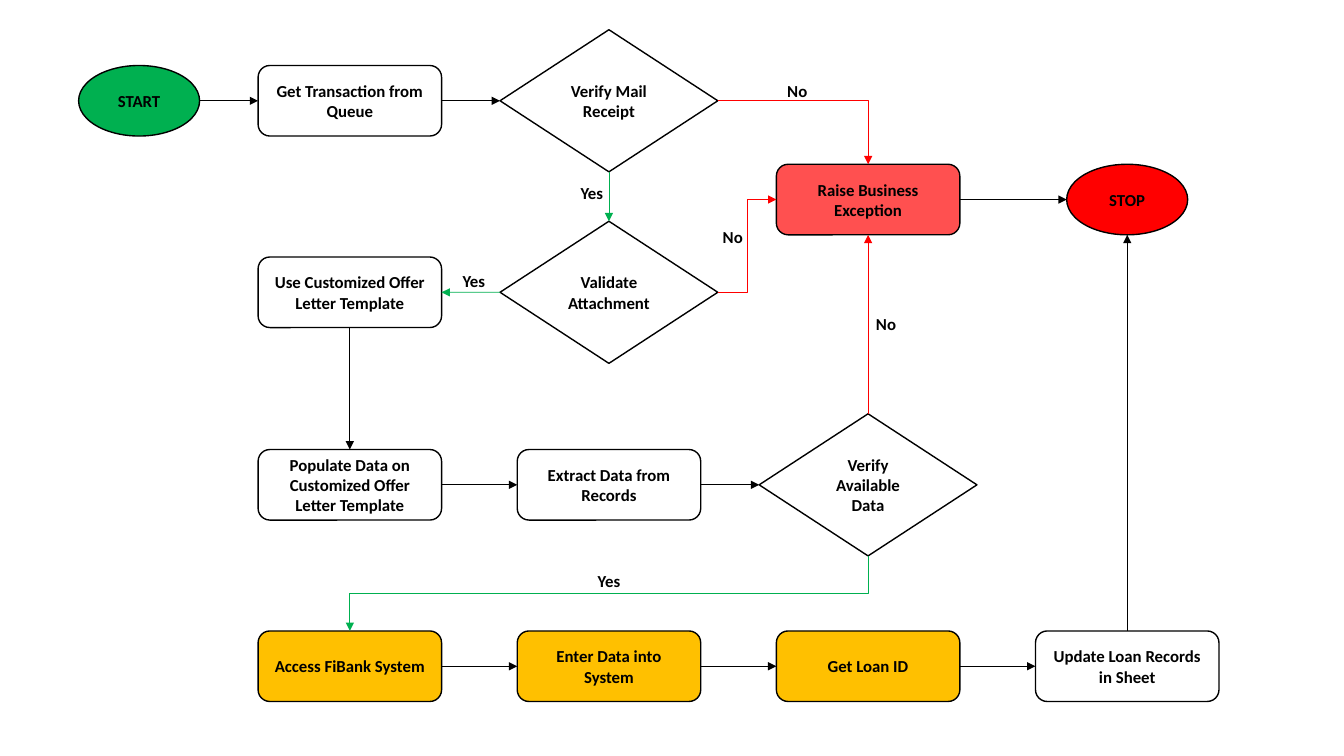
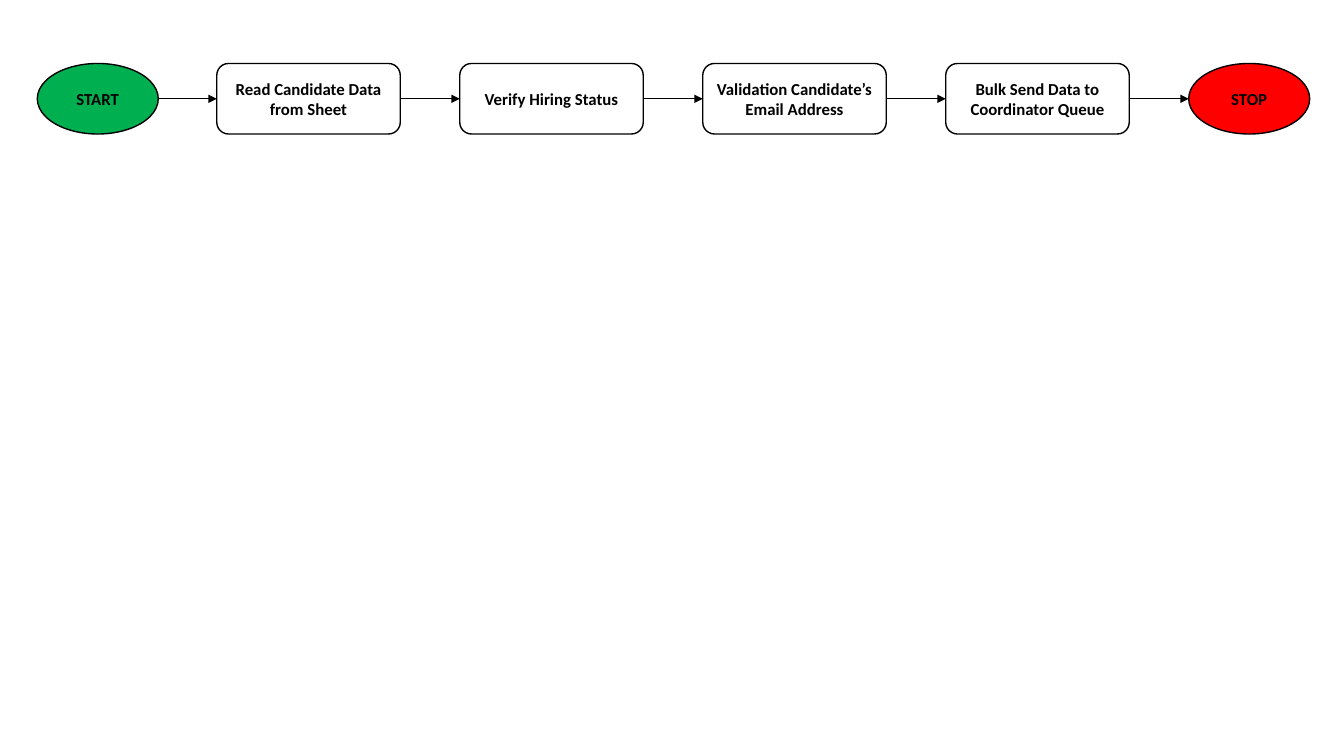
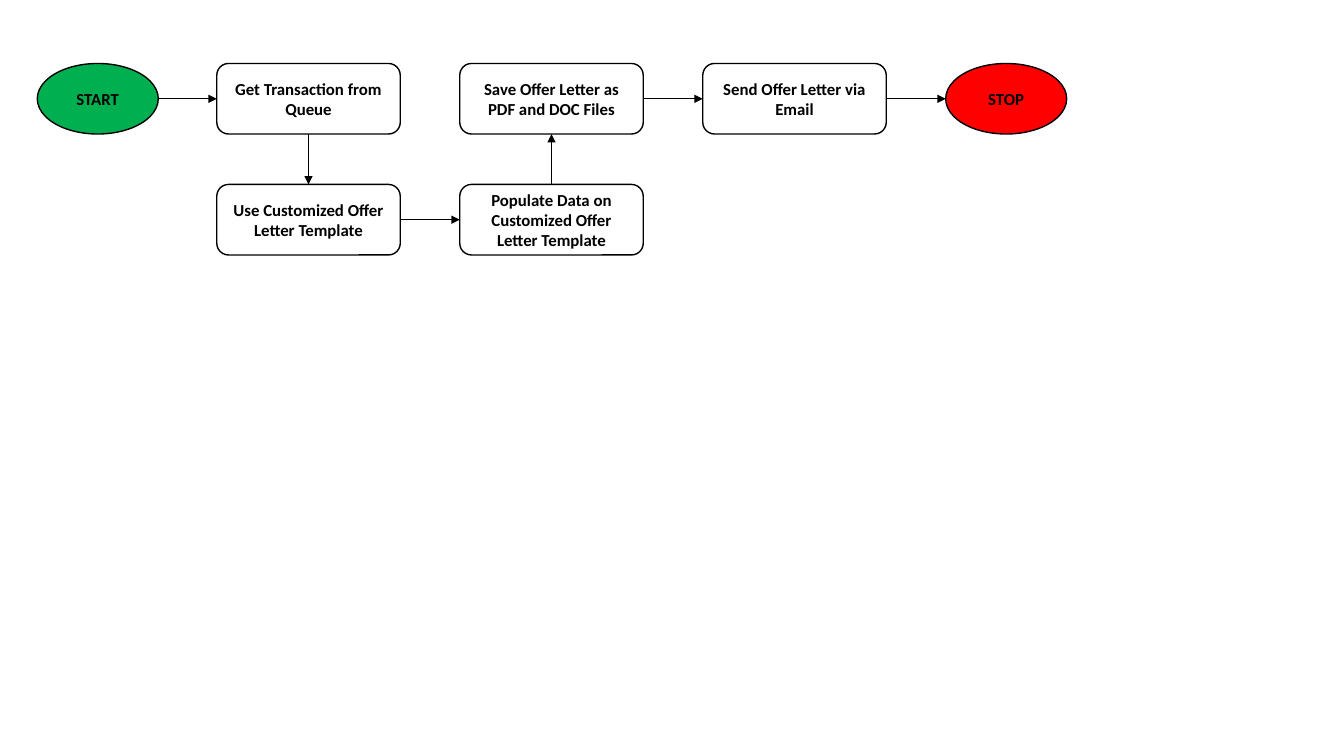
from lxml.etree import SubElement
from pptx import Presentation
from pptx.dml.color import RGBColor
from pptx.enum.shapes import MSO_CONNECTOR as Connector, MSO_SHAPE as Shape
from pptx.enum.text import MSO_ANCHOR as Anchor, MSO_AUTO_SIZE as AutoSize, PP_ALIGN as Align
from pptx.oxml.ns import qn
from pptx.util import Inches, Pt

# Shared style
BLACK = RGBColor(0x00, 0x00, 0x00)
WHITE = RGBColor(0xFF, 0xFF, 0xFF)
GREEN = RGBColor(0x00, 0xB0, 0x50)
RED = RGBColor(0xFF, 0x00, 0x00)
CORAL = RGBColor(0xFF, 0x50, 0x50)
AMBER = RGBColor(0xFF, 0xC0, 0x00)

SIZES = {
    Shape.OVAL: (1.2, 0.7),
    Shape.ROUNDED_RECTANGLE: (1.82, 0.7),
    Shape.DIAMOND: (2.16, 1.41),
}
LABEL_WIDTHS = {"Yes": 0.43, "No": 0.4}

# Connection sites, counted anticlockwise
TOP, LEFT, BOTTOM, RIGHT = range(4)


def style_text(paragraph):
    font = paragraph.font
    font.name, font.size, font.bold = "Calibri", Pt(12), True
    font.color.rgb = BLACK


def add_node(slide, kind, center, text, fill=WHITE):
    """Place a flowchart symbol around its center, given in inches."""
    width, height = SIZES[kind]
    x, y = center
    node = slide.shapes.add_shape(kind, Inches(x - width / 2), Inches(y - height / 2),
                                  Inches(width), Inches(height))
    node.shadow.inherit = False
    node.fill.solid()
    node.fill.fore_color.rgb = fill
    node.line.color.rgb = BLACK
    node.line.width = Pt(1)
    frame = node.text_frame
    frame.word_wrap = True
    frame.vertical_anchor = Anchor.MIDDLE
    paragraph = frame.paragraphs[0]
    paragraph.text = text
    paragraph.alignment = Align.CENTER
    style_text(paragraph)
    return node


def add_start(slide, center):
    return add_node(slide, Shape.OVAL, center, "START", GREEN)


def add_stop(slide, center):
    return add_node(slide, Shape.OVAL, center, "STOP", RED)


def add_step(slide, center, text, fill=WHITE):
    return add_node(slide, Shape.ROUNDED_RECTANGLE, center, text, fill)


def add_decision(slide, center, text):
    return add_node(slide, Shape.DIAMOND, center, text)


def add_label(slide, left, top, text):
    label = slide.shapes.add_textbox(Inches(left), Inches(top),
                                     Inches(LABEL_WIDTHS[text]), Inches(0.3))
    frame = label.text_frame
    frame.word_wrap = False
    frame.auto_size = AutoSize.SHAPE_TO_FIT_TEXT
    frame.paragraphs[0].text = text
    style_text(frame.paragraphs[0])


def site(node, side):
    """An oval has eight connection sites, the other symbols four."""
    return side * 2 if node.auto_shape_type == Shape.OVAL else side


def link(slide, source, target, exit_side=RIGHT, entry_side=LEFT, color=BLACK,
         kind=Connector.STRAIGHT):
    """Draw an arrow glued to one side of each node."""
    arrow = slide.shapes.add_connector(kind, 0, 0, 0, 0)
    arrow.begin_connect(source, exit_side)
    arrow.end_connect(target, entry_side)
    ends = arrow._element.nvCxnSpPr.cNvCxnSpPr
    ends.stCxn.idx = site(source, exit_side)
    ends.endCxn.idx = site(target, entry_side)
    arrow.line.color.rgb = color
    arrow.line.width = Pt(0.5)
    SubElement(arrow.line._get_or_add_ln(), qn("a:tailEnd"), type="triangle")
    SubElement(arrow._element.spPr, qn("a:effectLst"))
    return arrow


def link_corner(slide, source, target, color):
    """Elbow with a single bend, from the right side down to the top."""
    arrow = link(slide, source, target, RIGHT, TOP, color, Connector.ELBOW)
    arrow._element.spPr.find(qn("a:prstGeom")).set("prst", "bentConnector2")


def link_down_left(slide, source, target, color):
    """Elbow that goes down, left and down: a quarter turn of the usual one."""
    arrow = link(slide, source, target, BOTTOM, TOP, color, Connector.ELBOW)
    left, top, width, height = arrow.left, arrow.top, arrow.width, arrow.height
    frame = arrow._element.spPr.find(qn("a:xfrm"))
    frame.attrib.pop("flipH", None)
    frame.set("rot", "5400000")
    arrow.left, arrow.top = left + (width - height) // 2, top + (height - width) // 2
    arrow.width, arrow.height = height, width


def link_row(slide, nodes):
    for source, target in zip(nodes, nodes[1:]):
        link(slide, source, target)


def build_loan_flow(slide):
    col = [3.47 + 2.57 * i for i in range(4)]
    row_mail, row_attach, row_data, row_system = 1, 2.9, 4.81, 6.61
    row_end = 1.98

    # Nodes
    start = add_start(slide, (1.38, row_mail))
    queue = add_step(slide, (col[0], row_mail), "Get Transaction from Queue")
    mail = add_decision(slide, (col[1], row_mail), "Verify Mail Receipt")
    attachment = add_decision(slide, (col[1], row_attach), "Validate Attachment")
    template = add_step(slide, (col[0], row_attach), "Use Customized Offer Letter Template")
    exception = add_step(slide, (col[2], row_end), "Raise Business Exception", CORAL)
    populate = add_step(slide, (col[0], row_data),
                        "Populate Data on Customized Offer Letter Template")
    extract = add_step(slide, (col[1], row_data), "Extract Data from Records")
    available = add_decision(slide, (col[2], row_data), "Verify Available Data")
    system_steps = [add_step(slide, (x, row_system), text, fill) for x, text, fill in zip(
        col,
        ("Access FiBank System", "Enter Data into System", "Get Loan ID",
         "Update Loan Records in Sheet"),
        (AMBER, AMBER, AMBER, WHITE))]
    stop = add_stop(slide, (col[3], row_end))

    # Main path
    link_row(slide, [start, queue, mail])
    link_row(slide, [populate, extract, available])
    link_row(slide, system_steps)
    link_row(slide, [exception, stop])
    link(slide, template, populate, BOTTOM, TOP)
    link(slide, system_steps[-1], stop, TOP, BOTTOM)

    # Yes branches
    link(slide, mail, attachment, BOTTOM, TOP, GREEN)
    link(slide, attachment, template, LEFT, RIGHT, GREEN)
    link_down_left(slide, available, system_steps[0], GREEN)

    # No branches
    link_corner(slide, mail, exception, RED)
    link(slide, attachment, exception, color=RED, kind=Connector.ELBOW)
    link(slide, available, exception, TOP, BOTTOM, RED)

    # Branch labels
    for left, top, text in ((7.71, 0.75, "No"), (8.59, 3.06, "No"), (7.07, 2.2, "No"),
                            (5.66, 1.76, "Yes"), (4.49, 2.64, "Yes"), (5.83, 5.61, "Yes")):
        add_label(slide, left, top, text)


# Grid of the two short flows
ROW_TOP, ROW_BELOW = 0.98, 2.18
START_X = 0.97


def step_x(index):
    return 3.06 + 2.41 * index


def stop_x(index):
    """The oval is narrower than a step but keeps its left edge."""
    return step_x(index) - (1.82 - 1.2) / 2


def build_candidate_flow(slide):
    texts = ("Read Candidate Data from Sheet",
             "Verify Hiring Status",
             "Validation Candidate’s Email Address",
             "Bulk Send Data to Coordinator Queue")
    steps = [add_step(slide, (step_x(i), ROW_TOP), text) for i, text in enumerate(texts)]
    start = add_start(slide, (START_X, ROW_TOP))
    stop = add_stop(slide, (stop_x(len(steps)), ROW_TOP))
    link_row(slide, [start, *steps, stop])


def build_letter_flow(slide):
    start = add_start(slide, (START_X, ROW_TOP))
    queue = add_step(slide, (step_x(0), ROW_TOP), "Get Transaction from Queue")
    template = add_step(slide, (step_x(0), ROW_BELOW), "Use Customized Offer Letter Template")
    populate = add_step(slide, (step_x(1), ROW_BELOW),
                        "Populate Data on Customized Offer Letter Template")
    save = add_step(slide, (step_x(1), ROW_TOP), "Save Offer Letter as PDF and DOC Files")
    send = add_step(slide, (step_x(2), ROW_TOP), "Send Offer Letter via Email")
    stop = add_stop(slide, (stop_x(3), ROW_TOP))

    link_row(slide, [start, queue])
    link(slide, queue, template, BOTTOM, TOP)
    link_row(slide, [template, populate])
    link(slide, populate, save, TOP, BOTTOM)
    link_row(slide, [save, send, stop])


def main():
    deck = Presentation()
    deck.slide_width, deck.slide_height = Inches(13.33), Inches(7.5)
    blank = deck.slide_layouts[6]
    for build in (build_loan_flow, build_candidate_flow, build_letter_flow):
        build(deck.slides.add_slide(blank))
    deck.save("out.pptx")


if __name__ == "__main__":
    main()
